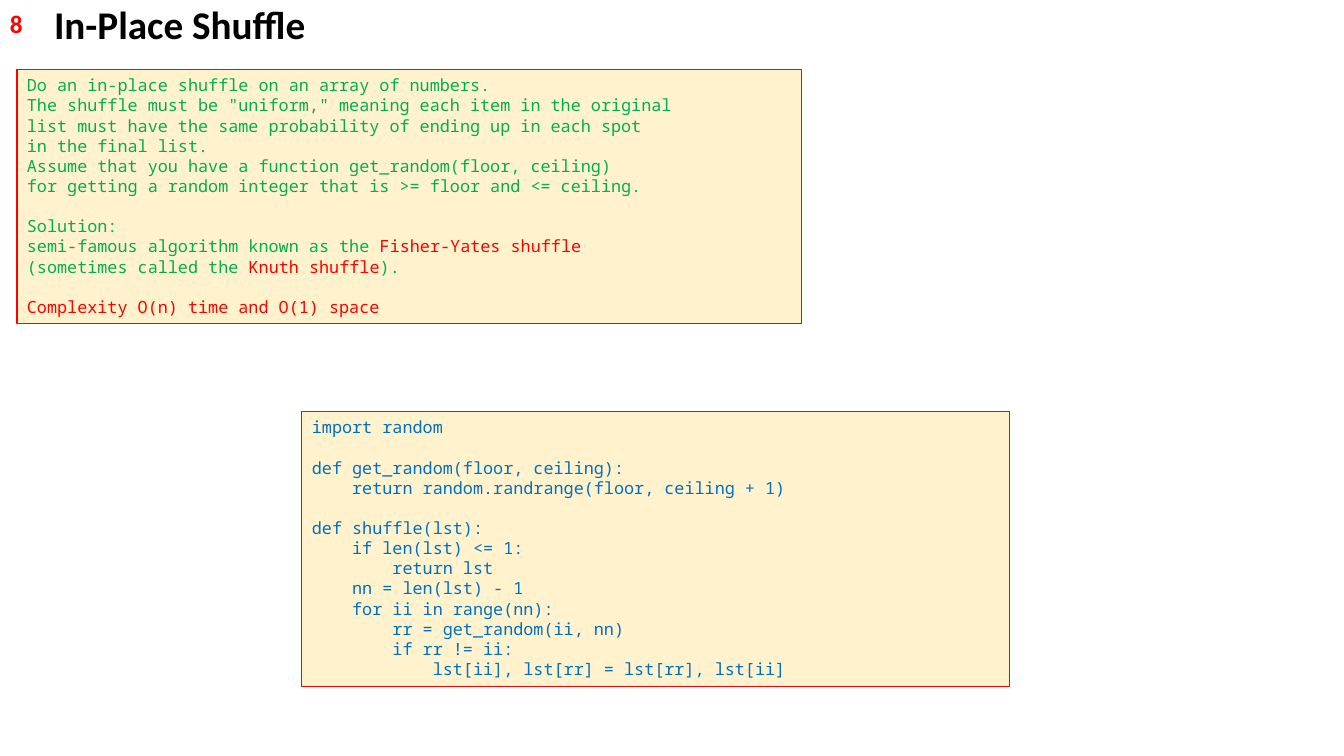
from pptx import Presentation
from pptx.dml.color import RGBColor
from pptx.enum.shapes import MSO_SHAPE
from pptx.enum.text import MSO_ANCHOR, MSO_AUTO_SIZE, PP_ALIGN
from pptx.util import Emu, Pt

HUES = {"black": "000000", "red": "FF0000", "green": "00B050",
        "blue": "0070C0", "cream": "FFF2CC"}
MONO = {"name": "Noto Sans Mono", "size": Pt(12), "bold": False}
HEAD = {"name": "Calibri", "size": Pt(28), "bold": True}
LABEL = {"name": "Calibri", "size": Pt(18), "bold": True}
LINE = Pt(14.4)


def px(*sizes):
    return [Emu(round(size * 914400 / 100.8)) for size in sizes]


def write(para, text, style, hue):
    run = para.add_run()
    run.text = text
    for key, value in style.items():
        setattr(run.font, key, value)
    run.font.color.rgb = RGBColor.from_string(HUES[hue])


TASK = [
    [[("Do an in-place shuffle on an array of numbers.", "green")],
     [('The shuffle must be "uniform," meaning each item in the original', "green")],
     [("list must have the same probability of ending up in each spot", "green")],
     [("in the final list.", "green")],
     [("Assume that you have a function get_random(floor, ceiling)", "green")],
     [("for getting a random integer that is >= floor and <= ceiling.", "green")]],
    [[("Solution:", "green")],
     [("semi-famous algorithm known as the ", "green"), ("Fisher-Yates shuffle", "red")],
     [("(sometimes called the ", "green"), ("Knuth shuffle", "red"), (").", "green")]],
    [[("Complexity O(n) time and O(1) space", "red")]],
]

CODE = """import random

def get_random(floor, ceiling):
    return random.randrange(floor, ceiling + 1)

def shuffle(lst):
    if len(lst) <= 1:
        return lst
    nn = len(lst) - 1
    for ii in range(nn):
        rr = get_random(ii, nn)
        if rr != ii:
            lst[ii], lst[rr] = lst[rr], lst[ii]"""
CODE = [[[(line, "blue")] for line in block.split("\n")]
        for block in CODE.split("\n\n")]

deck = Presentation()
deck.slide_width, deck.slide_height = px(1344, 756)
slide = deck.slides.add_slide(deck.slide_layouts[5])

title = slide.shapes.title
title.left, title.top, title.width, title.height = px(44, 0, 1005, 52)
frame = title.text_frame
frame.margin_top = 0
frame.auto_size = MSO_AUTO_SIZE.NONE
frame.vertical_anchor = MSO_ANCHOR.TOP
frame.paragraphs[0].alignment = PP_ALIGN.LEFT
write(frame.paragraphs[0], "In-Place Shuffle", HEAD, "black")

badge = slide.shapes.add_textbox(*px(0, 3, 33, 40))
badge.text_frame.word_wrap = False
write(badge.text_frame.paragraphs[0], "8", LABEL, "red")

for place, blocks in [
    ((17, 70, 785, 254), TASK),
    ((302, 412, 708, 275), CODE),
]:
    box = slide.shapes.add_shape(MSO_SHAPE.RECTANGLE, *px(*place))
    box.shadow.inherit = False
    box.fill.solid()
    box.fill.fore_color.rgb = RGBColor.from_string(HUES["cream"])
    box.line.color.rgb = RGBColor.from_string(HUES["red"])
    box.line.width = Pt(0.75)
    frame = box.text_frame
    frame.word_wrap = True
    frame.vertical_anchor = MSO_ANCHOR.TOP
    para = frame.paragraphs[0]
    for part, block in enumerate(blocks):
        for row, line in enumerate(block):
            if part or row:
                para = frame.add_paragraph()
            para.alignment = PP_ALIGN.LEFT
            if part and row == 0:
                para.space_before = LINE
            for text, hue in line:
                write(para, text, MONO, hue)

deck.save("out.pptx")
